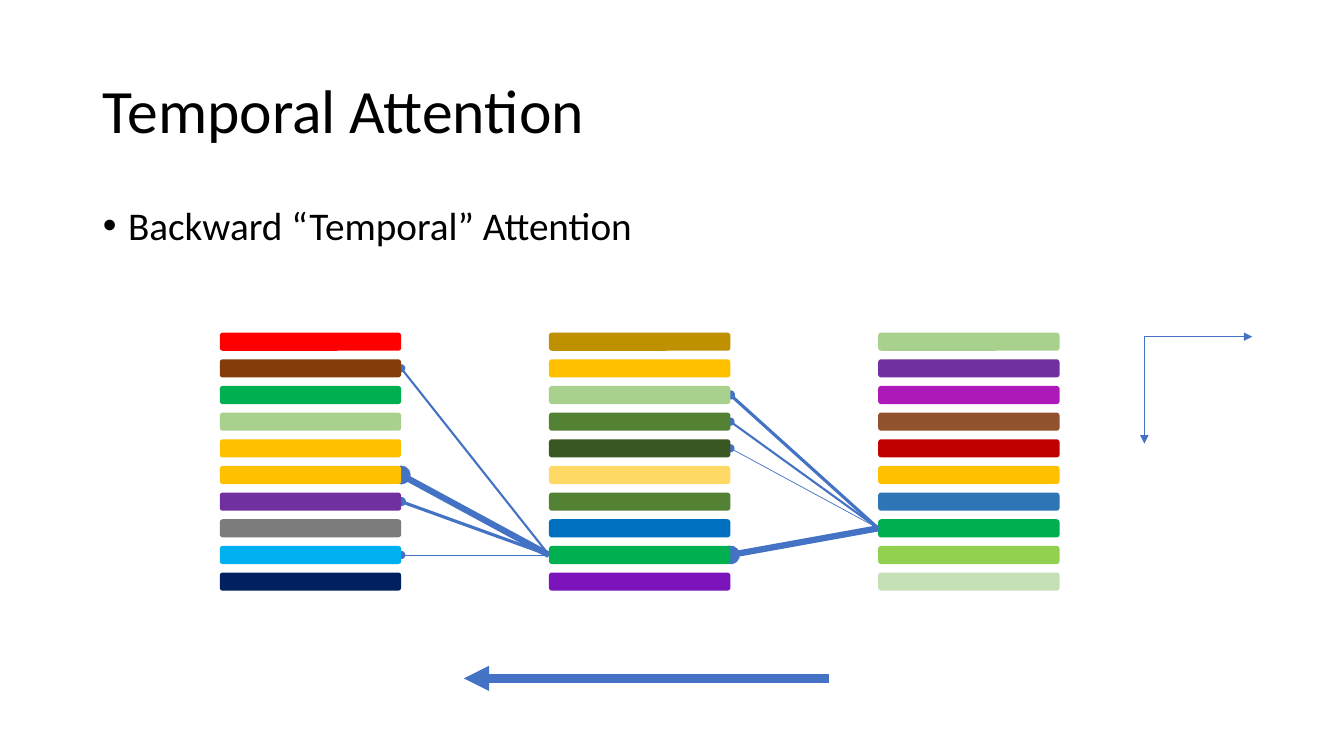
from dataclasses import dataclass

from pptx import Presentation
from pptx.dml.color import RGBColor
from pptx.enum.shapes import MSO_CONNECTOR, MSO_SHAPE
from pptx.enum.text import MSO_ANCHOR, MSO_AUTO_SIZE, PP_ALIGN
from pptx.oxml.ns import qn
from pptx.util import Inches, Pt
from lxml.etree import SubElement

TITLE = "Temporal Attention"
TOPIC = "Backward “Temporal” Attention"
FRAMES = [
    ["FF0000", "843C0B", "00B050", "A9D18E", "FFC000",
     "FFC000", "7030A0", "7C7C7C", "00B0F0", "002060"],
    ["BF9000", "FFC000", "A9D18E", "548235", "385723",
     "FFD966", "548235", "0070C0", "00B050", "7C14BC"],
    ["A9D18E", "7030A0", "AD18B8", "92522E", "C00000",
     "FFC000", "2E75B6", "00B050", "92D050", "C5E0B4"],
]
ATTENTION = [
    {"frame": 1, "target": 7, "weights": {2: 2.25, 4: 0.5, 8: 4.5, 3: 1.5}},
    {"frame": 0, "target": 8, "weights": {6: 2.25, 8: 0.5, 5: 4.5, 1: 1.5}},
]
ARROWS = [
    ((8.22, 6.73), (4.6, 6.73), 6),
    ((11.35, 3.34), (11.35, 4.4), 0.5),
    ((11.35, 3.34), (12.42, 3.34), 0.5),
]
BAR_LEFT, BAR_TOP, BAR_WIDTH, BAR_HEIGHT = 2.18, 3.3, 1.8, 0.18
FRAME_STEP = (8.71 - BAR_LEFT) / 2
BAR_STEP = (5.68 - BAR_TOP) / 9


@dataclass(frozen=True)
class Theme:
    font: str = "Calibri"
    text: str = "000000"
    line: str = "4472C4"
    title_size: int = 44
    body_size: int = 28


THEME = Theme()


def write_text(box, text, size, anchor, space_before=0, bullet=None):
    frame = box.text_frame
    frame.word_wrap = True
    frame.auto_size = MSO_AUTO_SIZE.NONE
    frame.vertical_anchor = anchor
    para = frame.paragraphs[0]
    para.alignment = PP_ALIGN.LEFT
    para.line_spacing = 0.9
    para.space_before = Pt(space_before)
    if bullet:
        properties = para._p.get_or_add_pPr()
        properties.set("marL", str(Inches(0.25)))
        properties.set("indent", str(Inches(-0.25)))
        SubElement(properties, qn("a:buFont")).set("typeface", "Arial")
        SubElement(properties, qn("a:buChar")).set("char", bullet)
    span = para.add_run()
    span.text = text
    span.font.name = THEME.font
    span.font.size = Pt(size)
    span.font.color.rgb = RGBColor.from_string(THEME.text)


def place(box, left, top, width, height):
    box.left, box.top = Inches(left), Inches(top)
    box.width, box.height = Inches(width), Inches(height)


def add_bar(page, frame, row, color):
    bar = page.shapes.add_shape(
        MSO_SHAPE.ROUNDED_RECTANGLE,
        Inches(BAR_LEFT + frame * FRAME_STEP), Inches(BAR_TOP + row * BAR_STEP),
        Inches(BAR_WIDTH), Inches(BAR_HEIGHT))
    bar.shadow.inherit = False
    bar.fill.solid()
    bar.fill.fore_color.rgb = RGBColor.from_string(color)
    bar.line.fill.background()
    return bar


def add_line(page, start, end, width, end_tag, end_type):
    points = [Inches(value) for value in (*start, *end)]
    line = page.shapes.add_connector(MSO_CONNECTOR.STRAIGHT, *points)
    line.line.color.rgb = RGBColor.from_string(THEME.line)
    line.line.width = Pt(width)
    SubElement(line.line._get_or_add_ln(), qn(end_tag)).set("type", end_type)
    SubElement(line.element.spPr, qn("a:effectLst"))
    return line


def main():
    deck = Presentation()
    deck.slide_width, deck.slide_height = Inches(13.33), Inches(7.5)
    page = deck.slides.add_slide(deck.slide_layouts[1])
    title, body = page.shapes.title, page.placeholders[1]
    place(title, 0.92, 0.4, 11.5, 1.45)
    write_text(title, TITLE, THEME.title_size, MSO_ANCHOR.MIDDLE)
    place(body, 0.92, 2, 11.5, 4.76)
    write_text(body, TOPIC, THEME.body_size, MSO_ANCHOR.TOP, bullet="•")

    bars = [[add_bar(page, frame, row, color) for row, color in enumerate(colors)]
            for frame, colors in enumerate(FRAMES)]
    for link in ATTENTION:
        target = bars[link["frame"] + 1][link["target"]]
        for row, width in link["weights"].items():
            line = add_line(page, (0, 0), (1, 1), width, "a:headEnd", "oval")
            line.begin_connect(bars[link["frame"]][row], 3)
            line.end_connect(target, 1)
    for start, end, width in ARROWS:
        add_line(page, start, end, width, "a:tailEnd", "triangle")
    for bar in bars[1] + bars[0]:
        bar.element.getparent().append(bar.element)

    deck.save("out.pptx")


if __name__ == "__main__":
    main()
